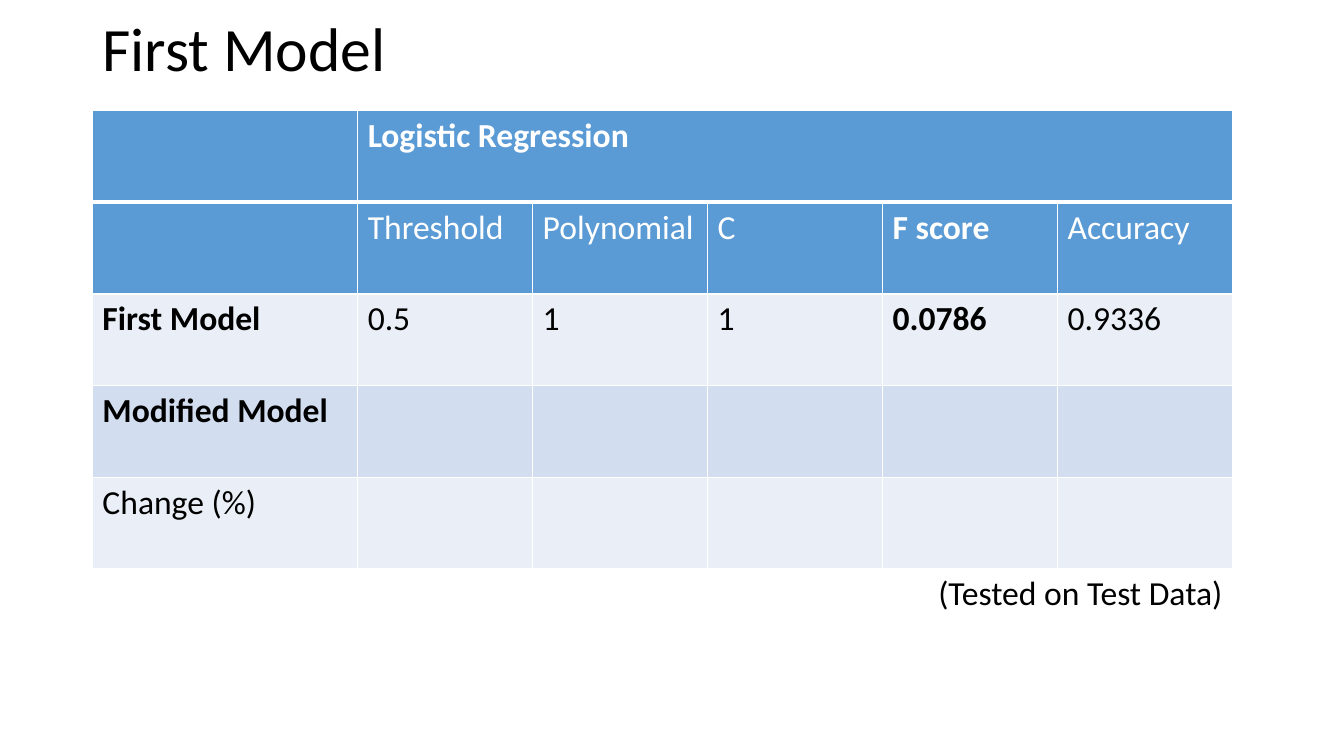
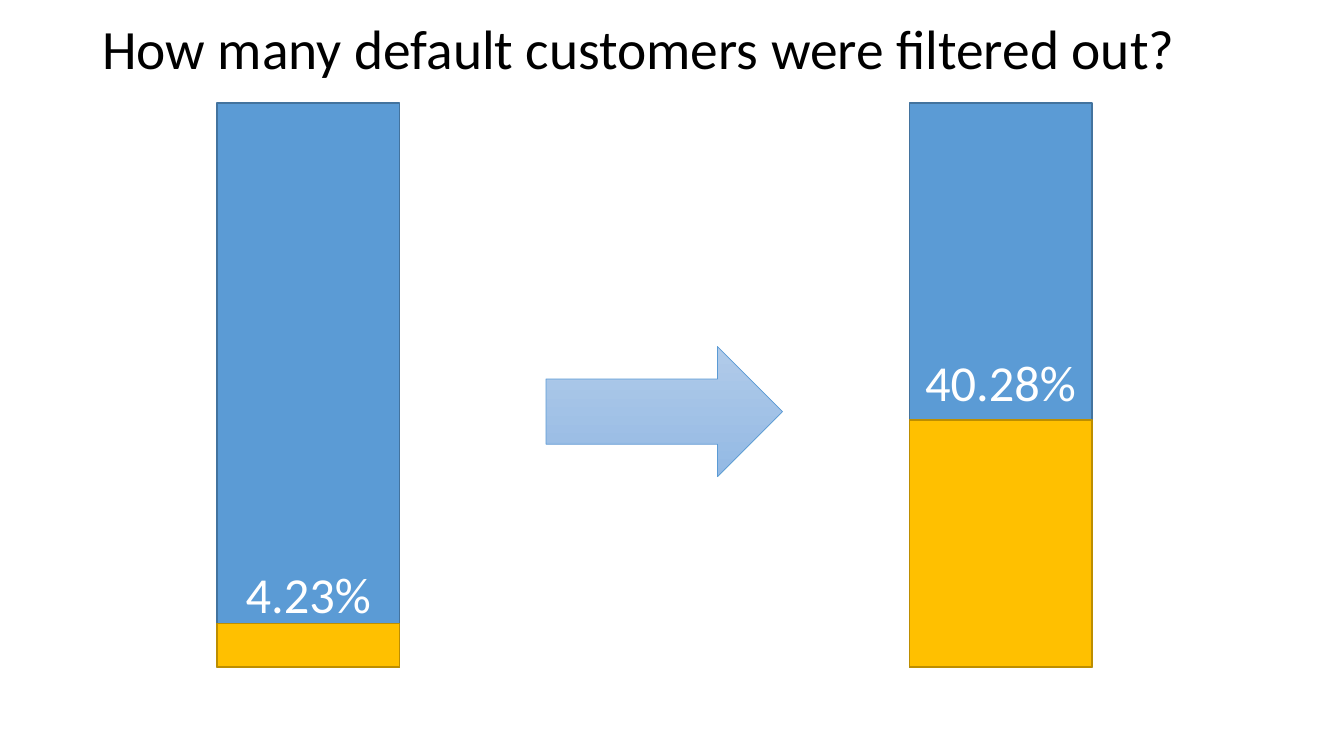
"""Build two slides: a table of model scores and a pair of filter-rate bars."""
from dataclasses import dataclass
from typing import NamedTuple

from lxml import etree
from pptx import Presentation
from pptx import util as u
from pptx.dml.color import RGBColor
from pptx.enum import shapes, text
from pptx.oxml.ns import qn

SCALE = 6350


@dataclass(frozen=True)
class Theme:
    font: str = "Calibri"
    black: str = "000000"
    white: str = "FFFFFF"
    blue: str = "5B9BD5"
    blue_edge: str = "43739E"
    gold: str = "FFC000"
    gold_edge: str = "BD8E00"
    arrow_top: str = "B1CBE9"
    arrow_bottom: str = "93B9E4"
    band_light: str = "EAEFF7"
    band_dark: str = "D2DEEF"
    title_size: float = 44
    long_title_size: float = 39.6
    label_size: float = 36
    table_size: float = 24
    thin: float = 1
    thick: float = 3
    hairline: float = 0.5


class Box(NamedTuple):
    left: int
    top: int
    width: int
    height: int


class Entry(NamedTuple):
    column: int
    words: str
    bold: bool = False
    span: int = 1
    align: text.PP_ALIGN = text.PP_ALIGN.LEFT


class Row(NamedTuple):
    fill: str | None
    ink: str
    entries: list[Entry]


class Bar(NamedTuple):
    left: int
    label: str
    label_top: int
    label_height: int
    gold_top: int


THEME = Theme()
TITLE = Box(132, 14, 1656, 118)
TABLE_LEFT, TABLE_TOP, ROW_HEIGHT = 132, 158, 131
COLUMNS = [379] + [250] * 5
BAR_TOP, BAR_WIDTH, BAR_BOTTOM = 147, 261, 953
ARROW = Box(780, 495, 338, 186)

ROWS = [
    Row(THEME.blue, THEME.white, [Entry(1, "Logistic Regression", True, 5)]),
    Row(THEME.blue, THEME.white, [
        Entry(1, "Threshold"), Entry(2, "Polynomial"), Entry(3, "C"),
        Entry(4, "F score", True), Entry(5, "Accuracy")]),
    Row(THEME.band_light, THEME.black, [
        Entry(0, "First Model", True), Entry(1, "0.5"), Entry(2, "1"),
        Entry(3, "1"), Entry(4, "0.0786", True), Entry(5, "0.9336")]),
    Row(THEME.band_dark, THEME.black, [Entry(0, "Modified Model", True)]),
    Row(THEME.band_light, THEME.black, [Entry(0, "Change (%)")]),
    Row(None, THEME.black, [
        Entry(4, "(Tested on Test Data)", span=2, align=text.PP_ALIGN.RIGHT)]),
]
BARS = [
    Bar(310, "4.23%", 798, 92, 891),
    Bar(1299, "40.28%", 495, 102, 600),
]


def px(length: int) -> u.Emu:
    """Turn px into EMU."""
    return u.Emu(length * SCALE)


def place(box: Box) -> list[u.Emu]:
    """Return the box's four lengths in EMU."""
    return [px(length) for length in box]


def style(para, size: float, ink: str, bold: bool = False) -> None:
    """Set the font of a whole paragraph."""
    font = para.font
    font.name, font.size, font.bold = THEME.font, u.Pt(size), bold
    font.color.rgb = RGBColor.from_string(ink)


def add_text(page, box: Box, words: str, size: float, ink: str,
             align=text.PP_ALIGN.LEFT, anchor=text.MSO_ANCHOR.TOP):
    """Add a wrapped one-paragraph text box and return its paragraph."""
    frame = page.shapes.add_textbox(*place(box)).text_frame
    frame.word_wrap = True
    frame.vertical_anchor = anchor
    para = frame.paragraphs[0]
    para.text, para.alignment = words, align
    style(para, size, ink)
    return para


def add_title(page, words: str, size: float) -> None:
    """Add the slide title."""
    para = add_text(page, TITLE, words, size, THEME.black,
                    anchor=text.MSO_ANCHOR.MIDDLE)
    para.line_spacing = 0.9


def add_outlined(page, preset, box: Box, edge: str, weight: float):
    """Add a preset shape with an outline and no shadow."""
    shape = page.shapes.add_shape(preset, *place(box))
    shape.shadow.inherit = False
    shape.line.color.rgb = RGBColor.from_string(edge)
    shape.line.width = u.Pt(weight)
    return shape


def add_block(page, box: Box, fill: str, edge: str) -> None:
    """Add a solid rectangle."""
    block = add_outlined(page, shapes.MSO_SHAPE.RECTANGLE, box, edge, THEME.thin)
    block.fill.solid()
    block.fill.fore_color.rgb = RGBColor.from_string(fill)


def add_borders(cell, top: float, bottom: float) -> None:
    """Draw white borders round a table cell."""
    properties = cell._tc.get_or_add_tcPr()
    weights = {"a:lnL": THEME.thin, "a:lnR": THEME.thin, "a:lnT": top, "a:lnB": bottom}
    for index, (tag, weight) in enumerate(weights.items()):
        line = etree.Element(qn(tag), w=str(u.Pt(weight)))
        solid = etree.SubElement(line, qn("a:solidFill"))
        etree.SubElement(solid, qn("a:srgbClr"), val=THEME.white)
        properties.insert(index, line)


def add_table(page) -> None:
    """Add the table of model scores."""
    box = Box(TABLE_LEFT, TABLE_TOP, sum(COLUMNS), ROW_HEIGHT * len(ROWS))
    table = page.shapes.add_table(len(ROWS), len(COLUMNS), *place(box)).table
    table.first_row = table.horz_banding = False
    for column, width in zip(table.columns, COLUMNS):
        column.width = px(width)
    for index, row in enumerate(ROWS):
        table.rows[index].height = px(ROW_HEIGHT)
        for column in range(len(COLUMNS)):
            cell = table.cell(index, column)
            if row.fill:
                cell.fill.solid()
                cell.fill.fore_color.rgb = RGBColor.from_string(row.fill)
            else:
                cell.fill.background()
            add_borders(cell, THEME.thick if index == 1 else THEME.thin,
                        THEME.thick if index == 0 else THEME.thin)
        for entry in row.entries:
            cell = table.cell(index, entry.column)
            if entry.span > 1:
                cell.merge(table.cell(index, entry.column + entry.span - 1))
            para = cell.text_frame.paragraphs[0]
            para.text, para.alignment = entry.words, entry.align
            style(para, THEME.table_size, row.ink, entry.bold)


def add_bar(page, bar: Bar) -> None:
    """Add a blue bar with its gold share and percentage."""
    add_block(page, Box(bar.left, BAR_TOP, BAR_WIDTH, BAR_BOTTOM - BAR_TOP),
              THEME.blue, THEME.blue_edge)
    add_block(page, Box(bar.left, bar.gold_top, BAR_WIDTH, BAR_BOTTOM - bar.gold_top),
              THEME.gold, THEME.gold_edge)
    add_text(page, Box(bar.left, bar.label_top, BAR_WIDTH, bar.label_height),
             bar.label, THEME.label_size, THEME.white, text.PP_ALIGN.CENTER)


def add_arrow(page) -> None:
    """Add the gradient arrow between the bars."""
    arrow = add_outlined(page, shapes.MSO_SHAPE.RIGHT_ARROW, ARROW,
                         THEME.blue, THEME.hairline)
    arrow.fill.gradient()
    arrow.fill.gradient_angle = 270
    for stop, shade in zip(arrow.fill.gradient_stops,
                           (THEME.arrow_top, THEME.arrow_bottom)):
        stop.color.rgb = RGBColor.from_string(shade)


def main() -> None:
    """Build and save the deck."""
    deck = Presentation()
    deck.slide_width, deck.slide_height = px(1920), px(1080)
    blank = deck.slide_layouts[6]

    page = deck.slides.add_slide(blank)
    add_title(page, "First Model", THEME.title_size)
    add_table(page)

    page = deck.slides.add_slide(blank)
    add_title(page, "How many default customers were filtered out?",
              THEME.long_title_size)
    for bar in BARS:
        add_bar(page, bar)
    add_arrow(page)

    deck.save("out.pptx")


if __name__ == "__main__":
    main()
